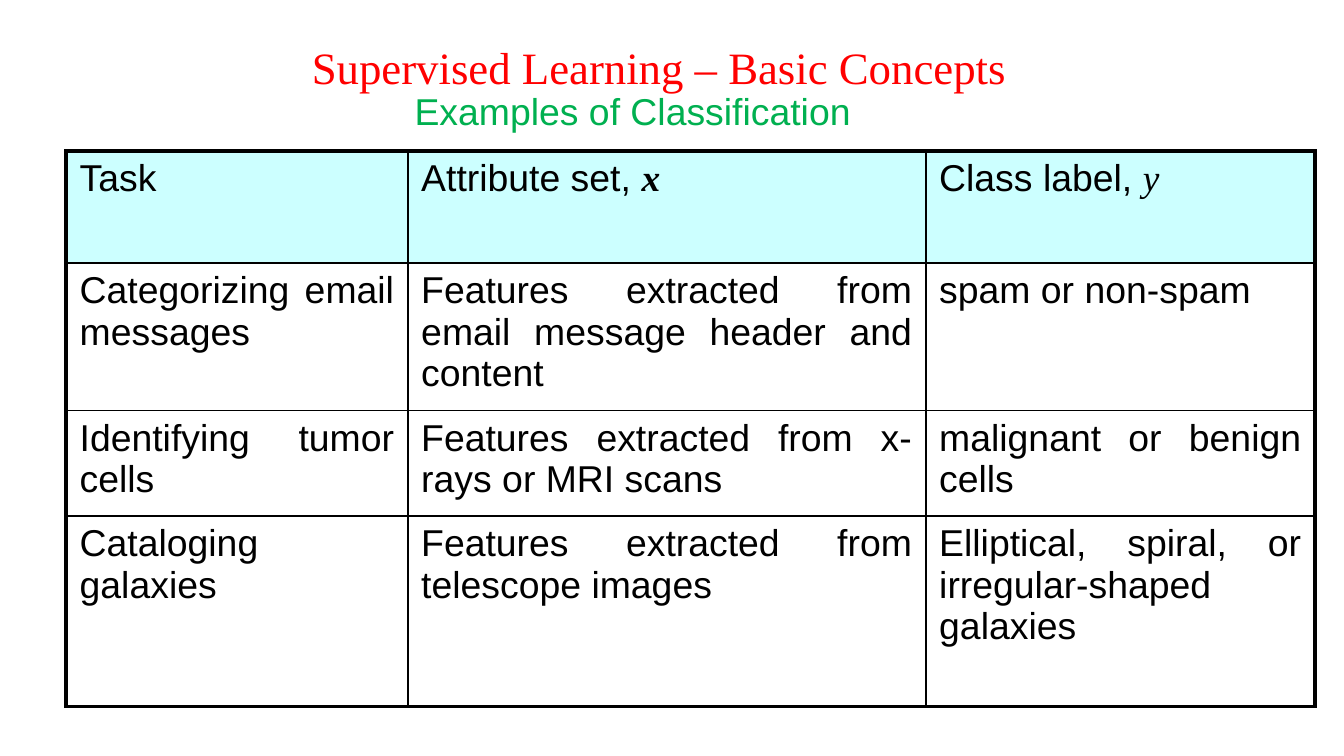
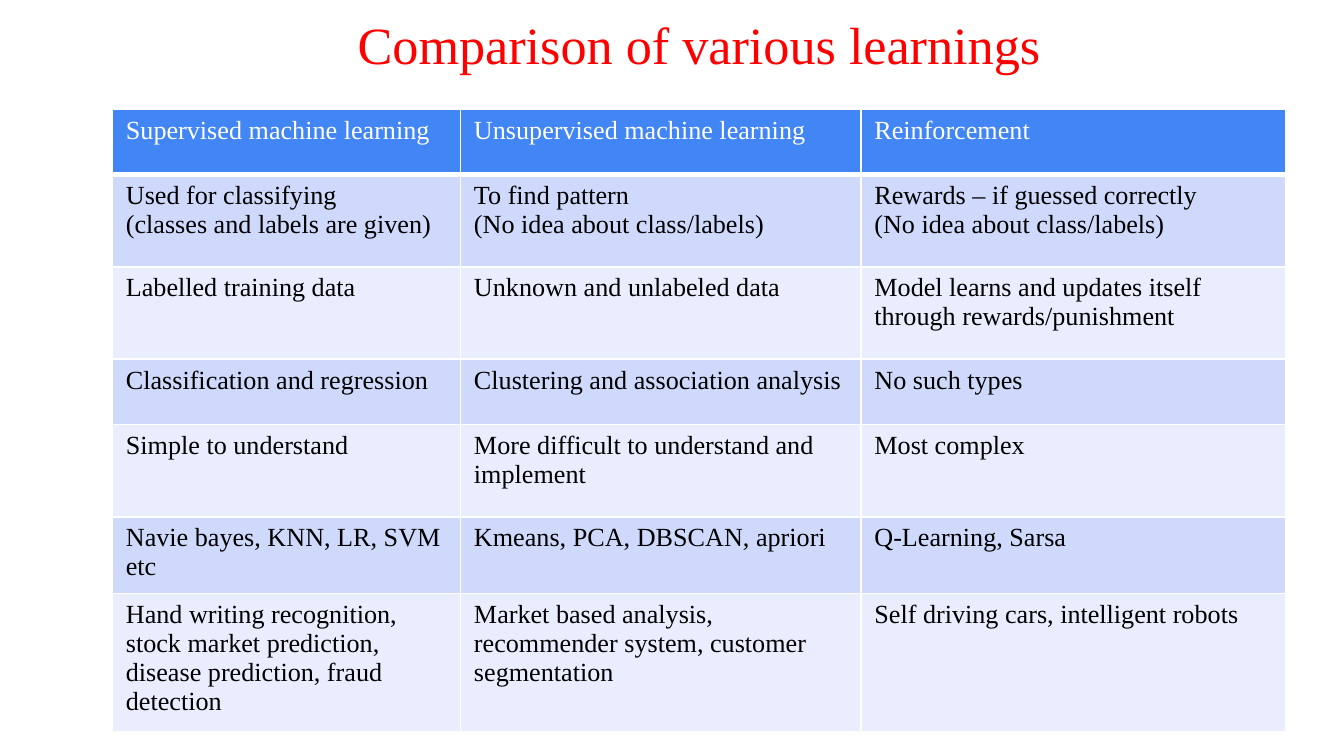
from lxml.etree import SubElement
from pptx import Presentation
from pptx.dml.color import RGBColor
from pptx.enum.text import MSO_ANCHOR as Anchor, MSO_AUTO_SIZE as AutoSize, PP_ALIGN as Align
from pptx.oxml.ns import qn
from pptx.util import Pt

SERIF, SANS = "Times New Roman", "Arial"
RED, GREEN, BLACK, WHITE = "FF0000", "00B050", "000000", "FFFFFF"
CYAN, BLUE, BAND_DARK, BAND_LIGHT = "CCFFFF", "4285F4", "CFD9FB", "E9EDFD"

EXAMPLES = [
    ["Task",
     ["Attribute set, ", ("x", {"font": SERIF, "bold": True, "italic": True})],
     ["Class label, ", ("y", {"font": SERIF, "italic": True})]],
    ["Categorizing email messages",
     "Features extracted from email message header and content",
     "spam or non-spam"],
    ["Identifying tumor cells",
     "Features extracted from x-rays or MRI scans",
     "malignant or benign cells"],
    ["Cataloging galaxies",
     "Features extracted from telescope images",
     "Elliptical, spiral, or irregular-shaped galaxies"],
]
COMPARISON = [
    ["Supervised machine learning", "Unsupervised machine learning", "Reinforcement"],
    ["Used for classifying\n(classes and labels are given)",
     "To find pattern\n(No idea about class/labels)",
     "Rewards – if guessed correctly\n(No idea about class/labels)"],
    ["Labelled training data", "Unknown and unlabeled data",
     "Model learns and updates itself through rewards/punishment"],
    ["Classification and regression", "Clustering and association analysis", "No such types"],
    ["Simple to understand", "More difficult to understand and implement", "Most complex"],
    ["Navie bayes, KNN, LR, SVM etc", "Kmeans, PCA, DBSCAN, apriori", "Q-Learning, Sarsa"],
    ["Hand writing recognition, stock market prediction, disease prediction, fraud detection",
     "Market based analysis, recommender system, customer segmentation",
     "Self driving cars, intelligent robots"],
]


def rgb(color):
    return RGBColor.from_string(color)


def add_span(para, text, size, font, color, bold=False, italic=False):
    span = para.add_run()
    span.text = text
    span.font.size, span.font.name = Pt(size), font
    span.font.color.rgb = rgb(color)
    span.font.bold, span.font.italic = bold, italic


def write(frame, text, align=Align.LEFT, after=0, **style):
    lines = [[line] for line in text.split("\n")] if isinstance(text, str) else [text]
    for index, line in enumerate(lines):
        para = frame.add_paragraph() if index else frame.paragraphs[0]
        para.alignment = align
        para.space_before, para.space_after = Pt(0), Pt(after)
        for part in line:
            words, changes = (part, {}) if isinstance(part, str) else part
            add_span(para, words, **{**style, **changes})


def place_text(box, text, left, top, width, height, **style):
    box.left, box.top, box.width, box.height = Pt(left), Pt(top), Pt(width), Pt(height)
    frame = box.text_frame
    frame.word_wrap, frame.auto_size = True, AutoSize.NONE
    frame.vertical_anchor = Anchor.TOP
    frame.margin_left = frame.margin_right = Pt(7.2)
    frame.margin_top, frame.margin_bottom = Pt(6.5), Pt(0)
    write(frame, text, **style)


def add_page(deck, title, left, top, width, height, size):
    page = deck.slides.add_slide(deck.slide_layouts[5])
    place_text(page.shapes.title, title, left, top, width, height,
               align=Align.CENTER, size=size, font=SERIF, color=RED)
    return page


def set_borders(cell, color, widths):
    props = cell._tc.get_or_add_tcPr()
    for side, width in zip("LRTB", widths):
        line = SubElement(props, qn(f"a:ln{side}"), w=str(Pt(width)))
        fill = SubElement(line, qn("a:solidFill"))
        SubElement(fill, qn("a:srgbClr"), val=color)


def add_grid(page, rows, left, top, widths, heights, border, edges, fills, style, header):
    table = page.shapes.add_table(len(rows), len(widths), Pt(left), Pt(top),
                                  Pt(sum(widths)), Pt(sum(heights))).table
    table.first_row = table.horz_banding = False
    for column, width in zip(table.columns, widths):
        column.width = Pt(width)
    for r, (row, height) in enumerate(zip(rows, heights)):
        table.rows[r].height = Pt(height)
        for c, text in enumerate(row):
            cell = table.cell(r, c)
            set_borders(cell, border, edges(r, c))
            cell.fill.solid()
            cell.fill.fore_color.rgb = rgb(fills[0] if r == 0 else fills[1 + (r - 1) % 2])
            write(cell.text_frame, text, **{**style, **(header if r == 0 else {})})


def framed_edges(r, c):
    last_row, last_column = len(EXAMPLES) - 1, len(EXAMPLES[0]) - 1
    outside = (c == 0, c == last_column, r == 0, r == last_row)
    return [2.25 if edge else 1 for edge in outside]


def ruled_edges(r, c):
    return [1, 1, 1, 3 if r == 0 else 1]


def build_examples(deck):
    page = add_page(deck, "Supervised Learning – Basic Concepts", 131, 15, 444, 36, 24)
    place_text(page.shapes.add_textbox(0, 0, 0, 0), "Examples of Classification",
               215, 41, 249, 32, size=20, font=SANS, color=GREEN)
    add_grid(page, EXAMPLES, 35.5, 81, [183, 277.5, 208.5], [60, 79, 56.5, 102],
             BLACK, framed_edges, [CYAN, WHITE, WHITE],
             dict(size=20, font=SANS, color=BLACK, align=Align.JUSTIFY, after=4), {})


def build_comparison(deck):
    page = add_page(deck, "Comparison of various learnings", 106, 0, 537, 41, 28)
    add_grid(page, COMPARISON, 60.25, 58.5, [186.5, 214.5, 227.5],
             [35, 49.5, 49.5, 35, 49.5, 41, 74],
             WHITE, ruled_edges, [BLUE, BAND_DARK, BAND_LIGHT],
             dict(size=14, font=SERIF, color=BLACK), {"color": WHITE})


def main():
    deck = Presentation()
    deck.slide_width, deck.slide_height = Pt(720), Pt(405)
    build_examples(deck)
    build_comparison(deck)
    deck.save("out.pptx")


if __name__ == "__main__":
    main()
